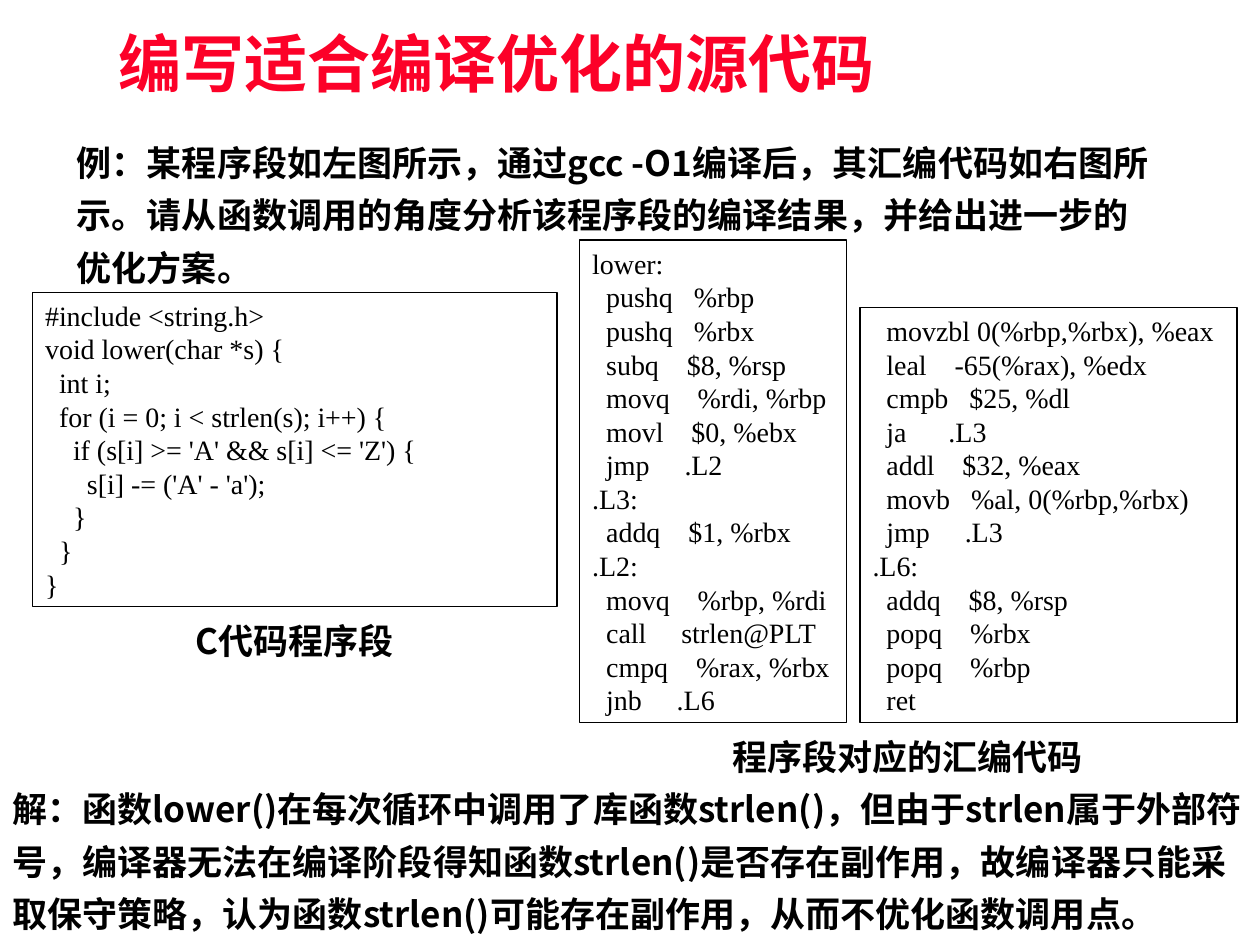
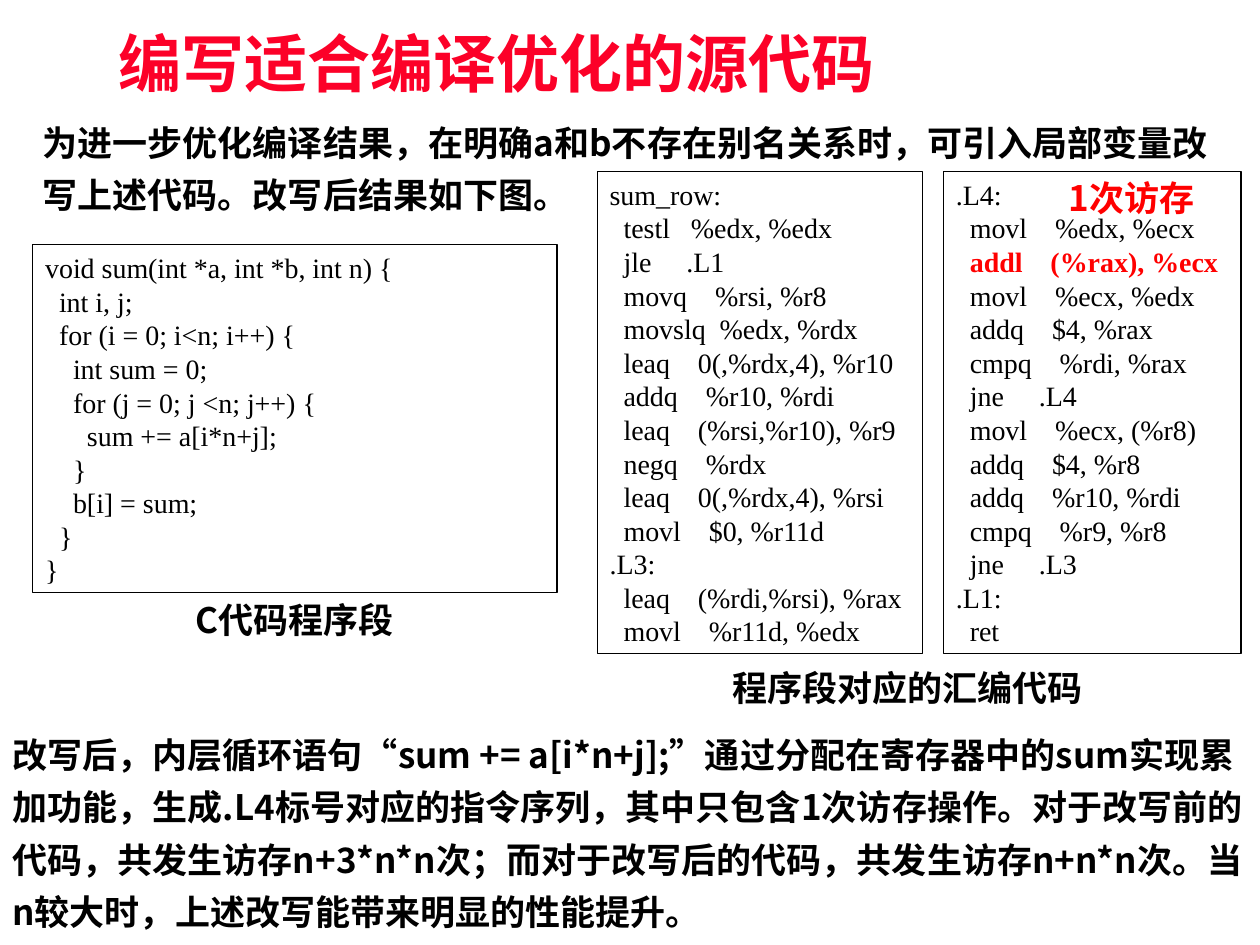
from lxml.etree import SubElement
from pptx import Presentation
from pptx.dml.color import RGBColor
from pptx.enum.shapes import MSO_SHAPE
from pptx.enum.text import MSO_ANCHOR, PP_ALIGN
from pptx.oxml.ns import qn
from pptx.util import Cm, Pt

COLORS = {"title": "FC0128", "ink": "000000", "hot": "FF0000"}
SANS = "Noto Sans CJK SC"
SERIF = "Times New Roman"
LINE = 0.677
PAD = 0.25
GAP = 0.13

LOWER_C = """#include <string.h>
void lower(char *s) {
  int i;
  for (i = 0; i < strlen(s); i++) {
    if (s[i] >= 'A' && s[i] <= 'Z') {
      s[i] -= ('A' - 'a');
    }
  }
}"""

LOWER_HEAD = """lower:
  pushq   %rbp
  pushq   %rbx
  subq    $8, %rsp
  movq    %rdi, %rbp
  movl    $0, %ebx
  jmp     .L2
.L3:
  addq    $1, %rbx
.L2:
  movq    %rbp, %rdi
  call     strlen@PLT
  cmpq    %rax, %rbx
  jnb     .L6"""

LOWER_TAIL = """  movzbl 0(%rbp,%rbx), %eax
  leal    -65(%rax), %edx
  cmpb   $25, %dl
  ja      .L3
  addl    $32, %eax
  movb   %al, 0(%rbp,%rbx)
  jmp     .L3
.L6:
  addq    $8, %rsp
  popq    %rbx
  popq    %rbp
  ret"""

SUM_C = """void sum(int *a, int *b, int n) {
  int i, j;
  for (i = 0; i<n; i++) {
    int sum = 0;
    for (j = 0; j <n; j++) {
      sum += a[i*n+j];
    }
    b[i] = sum;
  }
}"""

SUM_HEAD = """sum_row:
  testl   %edx, %edx
  jle     .L1
  movq    %rsi, %r8
  movslq  %edx, %rdx
  leaq    0(,%rdx,4), %r10
  addq    %r10, %rdi
  leaq    (%rsi,%r10), %r9
  negq    %rdx
  leaq    0(,%rdx,4), %rsi
  movl    $0, %r11d
.L3:
  leaq    (%rdi,%rsi), %rax
  movl    %r11d, %edx"""

SUM_TAIL = """.L4:
  movl    %edx, %ecx
  addl    (%rax), %ecx
  movl    %ecx, %edx
  addq    $4, %rax
  cmpq    %rdi, %rax
  jne     .L4
  movl    %ecx, (%r8)
  addq    $4, %r8
  addq    %r10, %rdi
  cmpq    %r9, %r8
  jne     .L3
.L1:
  ret"""

ASK = "例：某程序段如左图所示，通过gcc -O1编译后，其汇编代码如右图所示。请从函数调用的角度分析该程序段的编译结果，并给出进一步的优化方案。"
REPLY = "解：函数lower()在每次循环中调用了库函数strlen()，但由于strlen属于外部符号，编译器无法在编译阶段得知函数strlen()是否存在副作用，故编译器只能采取保守策略，认为函数strlen()可能存在副作用，从而不优化函数调用点。"
REWRITE = "为进一步优化编译结果，在明确a和b不存在别名关系时，可引入局部变量改写上述代码。改写后结果如下图。"
RESULT = "改写后，内层循环语句“sum += a[i*n+j];”通过分配在寄存器中的sum实现累加功能，生成.L4标号对应的指令序列，其中只包含1次访存操作。对于改写前的代码，共发生访存n+3*n*n次；而对于改写后的代码，共发生访存n+n*n次。当n较大时，上述改写能带来明显的性能提升。"


def add_run(para, text, size, color="ink", bold=True, font=SANS):
    run = para.add_run()
    run.text = text
    run.font.size = Pt(size)
    run.font.bold = bold
    run.font.name = font
    run.font.color.rgb = RGBColor.from_string(COLORS[color])
    SubElement(run.font._element, qn("a:ea")).set("typeface", SANS)


def add_text(slide, box, text, size=20, color="ink", font=SANS, align=PP_ALIGN.LEFT, space=None):
    frame = slide.shapes.add_textbox(*map(Cm, box)).text_frame
    frame.word_wrap = True
    para = frame.paragraphs[0]
    para.alignment = align
    para.line_spacing = space
    add_run(para, text, size, color, font=font)
    return frame


def add_title(slide):
    frame = add_text(slide, (2.21, 0.64, 21.26, 1.47), "编写适合编译优化的源代码",
                     36, "title", "Arial", space=0.87)
    frame.vertical_anchor = MSO_ANCHOR.MIDDLE
    frame.margin_left = frame.margin_right = Cm(0.18)
    frame.margin_top = frame.margin_bottom = Cm(0.08)


def add_body(slide, box, text, **style):
    add_text(slide, box, text, space=Pt(30), **style)


def add_label(slide, left, top, width, text):
    add_text(slide, (left, top, width, 1.12), text, align=PP_ALIGN.CENTER)


def tall(code):
    return len(code.splitlines()) * LINE + PAD


def add_code(slide, left, top, width, code, hot=None):
    box = slide.shapes.add_shape(MSO_SHAPE.RECTANGLE, Cm(left), Cm(top), Cm(width), Cm(tall(code)))
    box.shadow.inherit = False
    box.fill.background()
    box.line.color.rgb = RGBColor.from_string(COLORS["ink"])
    box.line.width = Pt(0.75)
    frame = box.text_frame
    frame.word_wrap = True
    frame.vertical_anchor = MSO_ANCHOR.TOP
    for row, text in enumerate(code.splitlines()):
        para = frame.add_paragraph() if row else frame.paragraphs[0]
        para.alignment = PP_ALIGN.LEFT
        mark = row == hot
        add_run(para, text, 16, "hot" if mark else "ink", mark, SERIF)


def add_source(slide, top, code, gap):
    left, width = 0.66, 10.57
    add_code(slide, left, top, width, code)
    add_label(slide, left, top + tall(code) + gap, width, "C代码程序段")


def add_asm(slide, base, parts):
    for left, width, code, hot in parts:
        add_code(slide, left, base - tall(code), width, code, hot)
    add_label(slide, 12.65, base + GAP, 11.3, "程序段对应的汇编代码")


def add_page(deck):
    slide = deck.slides.add_slide(deck.slide_layouts[6])
    add_title(slide)
    return slide


def lower_page(deck):
    slide = add_page(deck)
    add_source(slide, 5.89, LOWER_C, GAP)
    add_asm(slide, 14.57, [(11.69, 5.38, LOWER_HEAD, None), (17.34, 7.6, LOWER_TAIL, None)])
    add_body(slide, (1.3, 2.51, 22.33, 3.43), ASK)
    add_body(slide, (0, 15.54, 25.4, 3.43), REPLY)


def sum_page(deck):
    slide = add_page(deck)
    add_source(slide, 4.93, SUM_C, 0)
    add_asm(slide, 13.18, [(12.04, 6.56, SUM_HEAD, None), (19.02, 6, SUM_TAIL, 2)])
    add_body(slide, (0.61, 2.11, 24.1, 2.39), REWRITE)
    add_body(slide, (0, 14.45, 25.4, 4.5), RESULT)
    add_body(slide, (20.93, 3.23, 3.76, 1.32), "1次访存", color="hot", align=PP_ALIGN.CENTER)


def main():
    deck = Presentation()
    deck.slide_width, deck.slide_height = Cm(25.4), Cm(19.05)
    lower_page(deck)
    sum_page(deck)
    deck.save("out.pptx")


if __name__ == "__main__":
    main()
